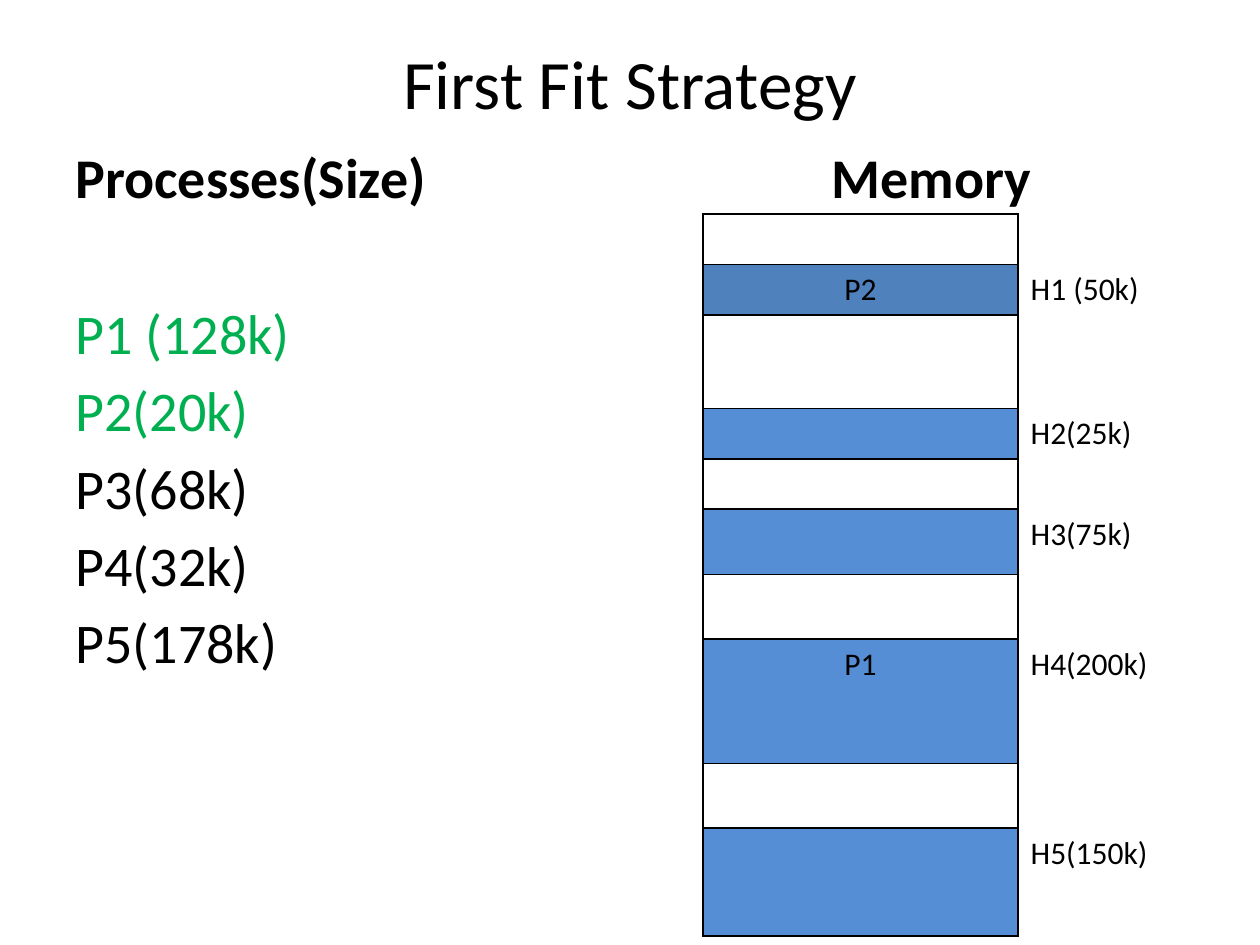
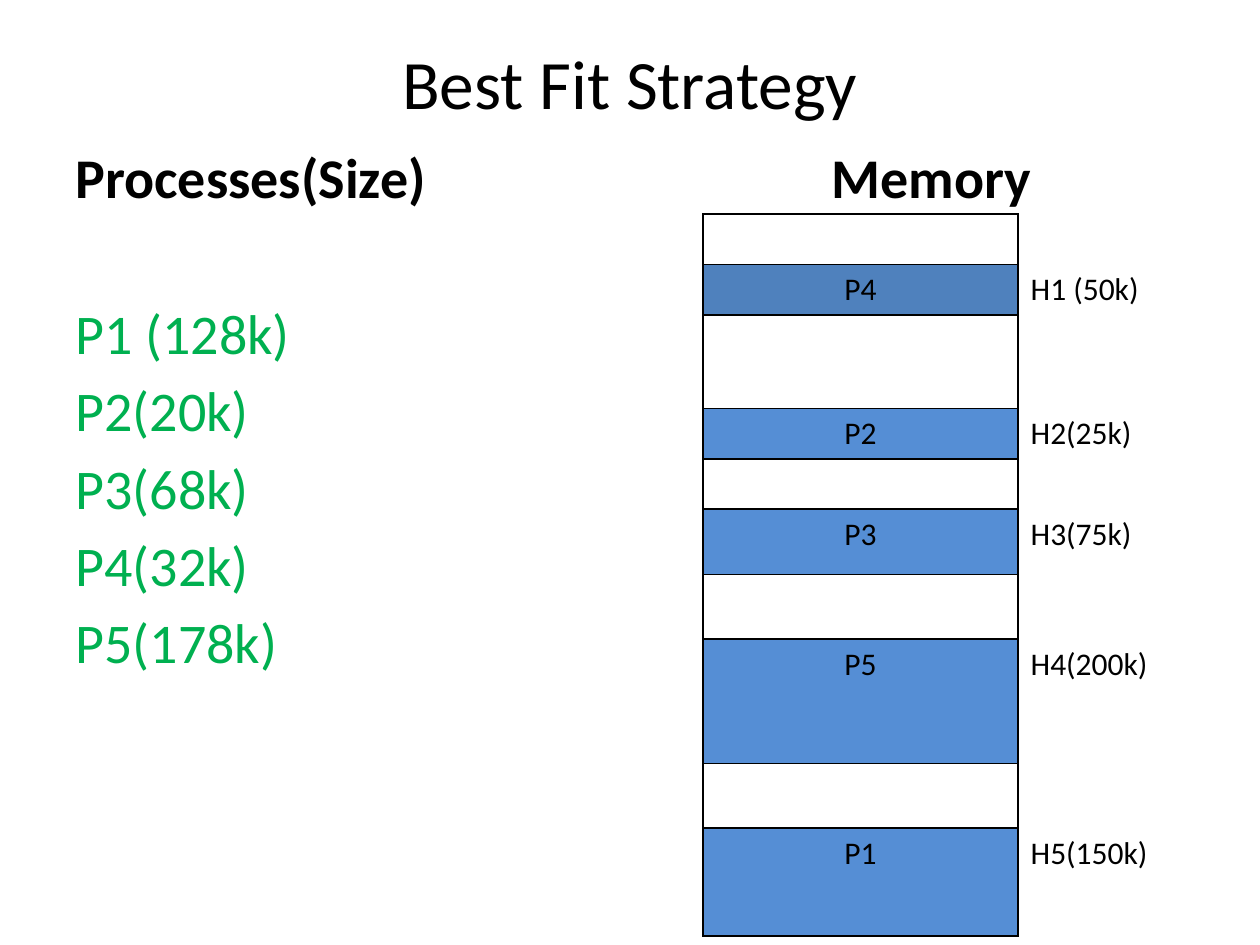
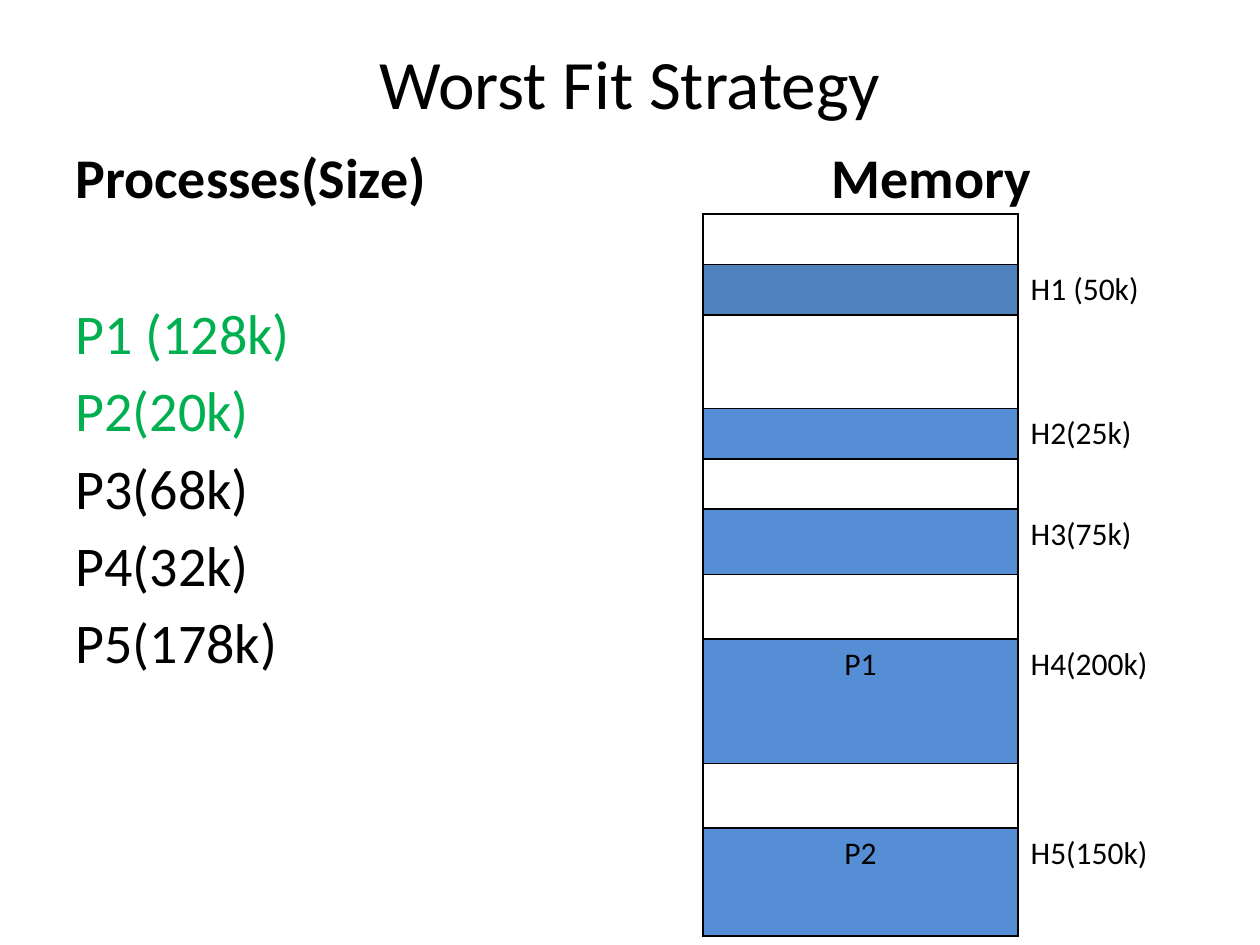
from dataclasses import dataclass

from lxml.etree import SubElement
from pptx import Presentation
from pptx.dml.color import RGBColor
from pptx.enum.text import MSO_ANCHOR, PP_ALIGN
from pptx.oxml.ns import qn
from pptx.util import Inches, Pt

BLACK = RGBColor(0x00, 0x00, 0x00)
GREEN = RGBColor(0x00, 0xB0, 0x50)
STEEL_BLUE = RGBColor(0x4F, 0x81, 0xBD)
HOLE_BLUE = RGBColor(0x55, 0x8E, 0xD5)

FONT = "Calibri"
TITLE_FORMAT = {"size": Pt(39.6)}
HEADING_FORMAT = {"size": Pt(32), "bold": True}
PROCESS_FORMAT = {"size": Pt(32), "bold": False}
CELL_FORMAT = {"size": Pt(18)}

PROCESS_GAP = Pt(5.8)
HEADING_GAP = Pt(50.7)
MEMORY_TAB = Inches(6)
BORDER_WIDTH = Pt(1)
BORDER_SIDES = ("a:lnL", "a:lnR", "a:lnT", "a:lnB")


@dataclass(frozen=True)
class Hole:
    """A free block of memory, below a block that is in use."""
    label: str
    used_height: float
    height: float
    color: RGBColor = HOLE_BLUE


@dataclass(frozen=True)
class Strategy:
    """A title and the process placed in each hole, by hole number."""
    title: str
    placements: dict[int, str]


PROCESSES = {"P1": "P1 (128k)", "P2": "P2(20k)", "P3": "P3(68k)",
             "P4": "P4(32k)", "P5": "P5(178k)"}
HOLES = [
    Hole("H1 (50k)", 0.4, 0.4, STEEL_BLUE),
    Hole("H2(25k)", 0.74, 0.4),
    Hole("H3(75k)", 0.4, 0.52),
    Hole("H4(200k)", 0.51, 0.99),
    Hole("H5(150k)", 0.51, 0.86),
]
STRATEGIES = [
    Strategy("First Fit Strategy", {1: "P2", 4: "P1"}),
    Strategy("Best Fit Strategy", {1: "P4", 2: "P2", 3: "P3", 4: "P5", 5: "P1"}),
    Strategy("Worst Fit Strategy", {4: "P1", 5: "P2"}),
]


def write(para, text: str, format_values: dict, color: RGBColor = BLACK) -> None:
    span = para.add_run()
    span.text = text
    for name, value in {"name": FONT, **format_values}.items():
        setattr(span.font, name, value)
    span.font.color.rgb = color


def add_frame(page, left: float, top: float, width: float, height: float):
    box = page.shapes.add_textbox(Inches(left), Inches(top), Inches(width), Inches(height))
    box.text_frame.word_wrap = True
    return box.text_frame


def add_title(page, title: str) -> None:
    frame = add_frame(page, 0.5, 0.3, 9, 0.7)
    frame.vertical_anchor = MSO_ANCHOR.MIDDLE
    para = frame.paragraphs[0]
    para.alignment = PP_ALIGN.CENTER
    write(para, title, TITLE_FORMAT)


def add_processes(page, placed: set[str]) -> None:
    """List the processes, with those that found a hole in green."""
    frame = add_frame(page, 0.5, 1.08, 9, 6.42)
    heading = frame.paragraphs[0]
    tabs = SubElement(heading._p.get_or_add_pPr(), qn("a:tabLst"))
    SubElement(tabs, qn("a:tab"), pos=str(MEMORY_TAB), algn="l")
    write(heading, "Processes(Size)\tMemory", HEADING_FORMAT)
    for index, (name, label) in enumerate(PROCESSES.items()):
        para = frame.add_paragraph()
        para.space_before = PROCESS_GAP if index else HEADING_GAP
        write(para, label, PROCESS_FORMAT, GREEN if name in placed else BLACK)


def set_borders(cell, visible_sides: tuple[str, ...]) -> None:
    """Draw the given sides; call before the fill, which follows the lines."""
    properties = cell._tc.get_or_add_tcPr()
    for side in BORDER_SIDES:
        line = SubElement(properties, qn(side), w=str(BORDER_WIDTH))
        if side in visible_sides:
            fill = SubElement(line, qn("a:solidFill"))
            SubElement(fill, qn("a:srgbClr"), val=str(BLACK))
        else:
            SubElement(line, qn("a:noFill"))


def add_memory(page, placements: dict[int, str]) -> None:
    heights = [height for hole in HOLES for height in (hole.used_height, hole.height)]
    frame = page.shapes.add_table(len(heights), 2, Inches(5.58), Inches(1.7),
                                  Inches(3.67), Inches(sum(heights)))
    table = frame.table
    table.first_row = table.horz_banding = False
    for column, width in zip(table.columns, (2.5, 1.17)):
        column.width = Inches(width)
    for row, height in zip(table.rows, heights):
        row.height = Inches(height)
        block, label = row.cells
        set_borders(block, BORDER_SIDES)
        set_borders(label, ("a:lnL",))
        block.fill.background()
        label.fill.background()
    for number, hole in enumerate(HOLES, start=1):
        block, label = table.rows[2 * number - 1].cells
        block.fill.solid()
        block.fill.fore_color.rgb = hole.color
        write(label.text_frame.paragraphs[0], hole.label, CELL_FORMAT)
        if number in placements:
            para = block.text_frame.paragraphs[0]
            para.alignment = PP_ALIGN.CENTER
            write(para, placements[number], CELL_FORMAT)


def main() -> None:
    deck = Presentation()
    deck.slide_width, deck.slide_height = Inches(10), Inches(7.5)
    for strategy in STRATEGIES:
        page = deck.slides.add_slide(deck.slide_layouts[6])
        add_title(page, strategy.title)
        add_processes(page, set(strategy.placements.values()))
        add_memory(page, strategy.placements)
    deck.save("out.pptx")


if __name__ == "__main__":
    main()
